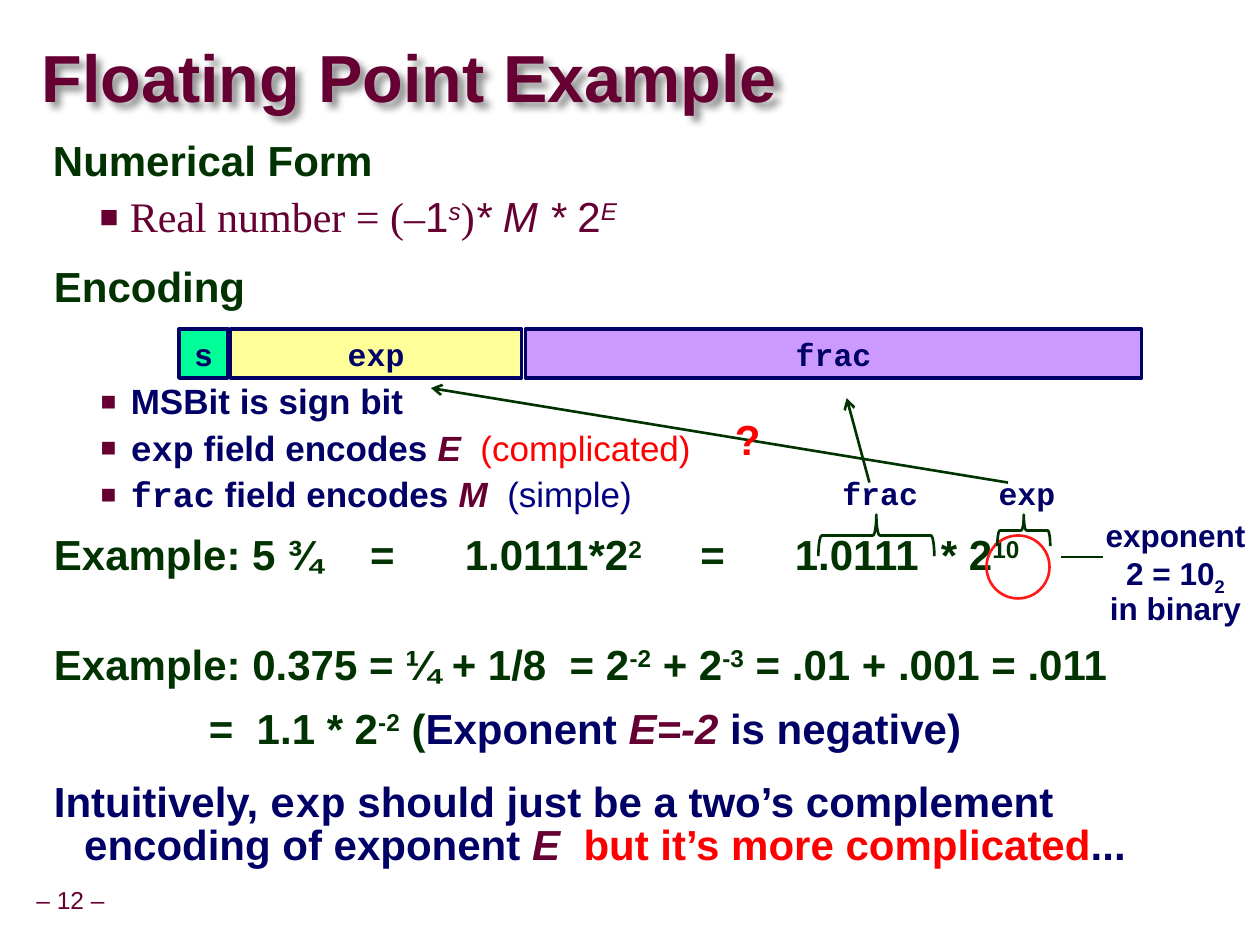
"""Build the floating point example slide with its field diagram and worked examples."""
from dataclasses import dataclass
from typing import NamedTuple

from lxml.etree import SubElement
from pptx import Presentation
from pptx.dml.color import RGBColor
from pptx.enum.shapes import MSO_CONNECTOR, MSO_SHAPE
from pptx.enum.text import MSO_ANCHOR as Anchor, MSO_AUTO_SIZE, PP_ALIGN as Align
from pptx.oxml.ns import qn
from pptx.util import Inches, Pt

COLORS = {"green": "003300", "plum": "660033", "navy": "000066", "blue": "000080",
          "red": "FF0000", "ring": "FF1A1A", "mint": "00FF99", "yellow": "FFFF99",
          "violet": "CC99FF", "shadow": "000000"}
MONO, SERIF = "Courier New", "Times New Roman"


class Box(NamedTuple):
    left: float
    top: float
    width: float
    height: float


@dataclass
class Run:
    text: str
    color: str = "navy"
    size: float = 24
    name: str = "Arial"
    bold: bool = True
    italic: bool = False
    baseline: int = 0


@dataclass
class Paragraph:
    runs: list[Run]
    before: float = 0
    spacing: float = 0.9
    align: Align = Align.LEFT
    margin: float = 0
    hanging: float = 0
    bullet: bool = False


class Field(NamedTuple):
    label: str
    left: float
    width: float
    color: str


class Term(NamedTuple):
    left: float
    width: float
    text: str
    power: str = ""


def rgb(name: str) -> RGBColor:
    return RGBColor.from_string(COLORS[name])


def child(parent, tag: str, **attributes):
    return SubElement(parent, qn(tag), {key: str(value) for key, value in attributes.items()})


def add_color(parent, name: str):
    return child(parent, "a:srgbClr", val=COLORS[name])


def format_paragraph(paragraph, content: Paragraph) -> None:
    values = {"alignment": content.align, "line_spacing": content.spacing,
              "space_before": Pt(content.before), "space_after": Pt(0)}
    for key, value in values.items():
        setattr(paragraph, key, value)
    properties = paragraph._p.get_or_add_pPr()
    properties.set("marL", str(Inches(content.margin)))
    properties.set("indent", str(-Inches(content.hanging)))
    if content.bullet:
        add_color(child(properties, "a:buClr"), "plum")
        child(properties, "a:buSzPct", val=75000)
        child(properties, "a:buFont", typeface="Arial")
        child(properties, "a:buChar", char="■")
    else:
        child(properties, "a:buNone")


def write(shape, paragraphs: list[Paragraph], anchor=Anchor.TOP, wrap=True, inset=(0.1, 0.05)) -> None:
    frame = shape.text_frame
    across, down = (Inches(value) for value in inset)
    values = {"auto_size": MSO_AUTO_SIZE.NONE, "word_wrap": wrap, "vertical_anchor": anchor,
              "margin_left": across, "margin_right": across,
              "margin_top": down, "margin_bottom": down}
    for key, value in values.items():
        setattr(frame, key, value)
    for index, content in enumerate(paragraphs):
        paragraph = frame.add_paragraph() if index else frame.paragraphs[0]
        format_paragraph(paragraph, content)
        for item in content.runs:
            run = paragraph.add_run()
            run.text = item.text
            fonts = {"name": item.name, "size": Pt(item.size), "bold": item.bold, "italic": item.italic}
            for key, value in fonts.items():
                setattr(run.font, key, value)
            run.font.color.rgb = rgb(item.color)
            if item.baseline:
                run.font._element.set("baseline", str(item.baseline * 1000))


def place(shape, box: Box) -> None:
    for key, value in box._asdict().items():
        setattr(shape, key, Inches(value))


def add_text(slide, box: Box, paragraphs: list[Paragraph], **options) -> None:
    write(slide.shapes.add_textbox(*map(Inches, box)), paragraphs, **options)


def add_label(slide, box: Box, *lines: list[Run]) -> None:
    add_text(slide, box, [Paragraph(runs, align=Align.CENTER) for runs in lines], wrap=False)


def add_shape(slide, kind, box: Box, line: str, width: float = 1.5, fill: str = ""):
    shape = slide.shapes.add_shape(kind, *map(Inches, box))
    shape.shadow.inherit = False
    shape.line.color.rgb = rgb(line)
    shape.line.width = Pt(width)
    if fill:
        shape.fill.solid()
        shape.fill.fore_color.rgb = rgb(fill)
    else:
        shape.fill.background()
    return shape


def add_line(slide, start: tuple[float, float], end: tuple[float, float], arrow: bool = False) -> None:
    line = slide.shapes.add_connector(MSO_CONNECTOR.STRAIGHT, *map(Inches, start + end))
    line.line.color.rgb = rgb("green")
    line.line.width = Pt(1.5)
    if arrow:
        child(line.line._get_or_add_ln(), "a:tailEnd", type="arrow")
    child(line._element.spPr, "a:effectLst")


def heading(*runs: Run, **options) -> Paragraph:
    return Paragraph(list(runs), **{"before": 13, "spacing": 0.85, **options})


def bullet(*runs: Run, before: float = 5) -> Paragraph:
    return Paragraph(list(runs), before, margin=0.61, hanging=0.24, bullet=True)


def green(text: str, baseline: int = 0) -> Run:
    return Run(text, "green", baseline=baseline)


def formula(text: str, name: str = "Arial", italic: bool = False, baseline: int = 0) -> Run:
    return Run(text, "plum", 24, name, False, italic, baseline)


def encodes(field: str, symbol: str, remark: str, color: str) -> Paragraph:
    return bullet(Run(field, size=20, name=MONO), Run(" field encodes ", size=20),
                  Run(f"{symbol}  ", "plum", 20, italic=True), Run(remark, color, 20, bold=False))


def add_placeholders(slide) -> None:
    title, body = slide.shapes.title, slide.placeholders[1]
    place(title, Box(0.33, 0.33, 9.5, 0.63))
    write(title, [Paragraph([Run("Floating Point Example", "plum", 38)], spacing=0.87)],
          anchor=Anchor.MIDDLE, inset=(0, 0))
    effects = child(title._element.spPr, "a:effectLst")
    shadow = child(effects, "a:outerShdw", blurRad=Pt(4), dist=Pt(4), dir=2700000, algn="tl", rotWithShape=0)
    child(add_color(shadow, "shadow"), "a:alpha", val=43000)
    place(body, Box(0.32, 1.08, 9.09, 1.17))
    write(body, [heading(green("Numerical Form")),
                 bullet(formula("Real number = (–", SERIF), formula("1"), formula("s", italic=True, baseline=30),
                        formula(")", SERIF), formula("* M * ", italic=True), formula("2"),
                        formula("E", italic=True, baseline=30), before=6.5)])


def add_encoding(slide) -> None:
    for field in (Field("s", 1.42, 0.39, "mint"), Field("exp", 1.83, 2.31, "yellow"),
                  Field("frac", 4.17, 4.89, "violet")):
        cell = add_shape(slide, MSO_SHAPE.RECTANGLE, Box(field.left, 2.61, field.width, 0.39), "navy", 2, field.color)
        write(cell, [Paragraph([Run(field.label, size=18, name=MONO)], spacing=1.0, align=Align.CENTER)],
              anchor=Anchor.MIDDLE, wrap=False)
    add_text(slide, Box(0.33, 2.08, 9.33, 2.1), [
        heading(green("Encoding")), bullet(Run("MSBit is sign bit", size=20), before=42),
        encodes("exp", "E", "(complicated)", "red"), encodes("frac", "M", "(simple)", "blue")])
    for term in (Term(0.33, 2.4, "Example: 5 ¾"), Term(2.84, 0.4, "="), Term(3.59, 1.65, "1.0111*2", "2"),
                 Term(5.46, 0.4, "="), Term(6.21, 1.2, "1.0111"), Term(7.37, 0.9, "* 2", "10")):
        runs = [green(term.text)] + ([green(term.power, 30)] if term.power else [])
        add_text(slide, Box(term.left, 4.21, term.width, 0.5), [heading(*runs)])


def add_annotations(slide) -> None:
    add_shape(slide, MSO_SHAPE.OVAL, Box(7.83, 4.25, 0.5, 0.5), "ring")
    add_line(slide, (8.42, 4.42), (8.75, 4.42))
    add_label(slide, Box(8.66, 4.08, 1.34, 0.92), [Run("exponent", size=18)],
              [Run("2 = 10", size=18), Run("2", size=18, baseline=-25)], [Run("in binary", size=18)])
    for text, box, brace_box in (("frac", Box(6.58, 3.75, 0.81, 0.38), Box(6.79, 3.79, 0.33, 0.92)),
                                 ("exp", Box(7.82, 3.75, 0.66, 0.38), Box(8, 4, 0.25, 0.42))):
        add_shape(slide, MSO_SHAPE.LEFT_BRACE, brace_box, "green").rotation = 90
        add_label(slide, box, [Run(text, size=18, name=MONO)])
    for start, end in (((6.9, 3.83), (6.72, 3.16)), ((8, 3.83), (3.42, 3.08))):
        add_line(slide, start, end, arrow=True)
    add_label(slide, Box(5.73, 3.28, 0.41, 0.47), [Run("?", "red")])


def add_examples(slide) -> None:
    add_text(slide, Box(0.33, 5.08, 9.09, 0.92), [
        heading(green("Example: 0.375 = ¼ + 1/8  = 2"), green("-2", 30), green(" + 2"), green("-3", 30),
                green(" = .01 + .001 = .011")),
        heading(green("=  1.1 * 2"), green("-2", 30), green(" ("), Run("Exponent "),
                Run("E=-2", "plum", italic=True), Run(" is negative)"), margin=1.23, before=12)])
    add_text(slide, Box(0.33, 6.17, 9.09, 0.92), [
        heading(Run("Intuitively, "), Run("exp", name=MONO),
                Run(" should just be a two’s complement encoding of exponent "),
                Run("E  ", "plum", italic=True), Run("but it’s more complicated", "red"), Run("..."),
                margin=0.24, hanging=0.24)])


def main() -> None:
    presentation = Presentation()
    presentation.slide_width, presentation.slide_height = Inches(10), Inches(7.5)
    slide = presentation.slides.add_slide(presentation.slide_layouts[1])
    for draw in (add_placeholders, add_encoding, add_annotations, add_examples):
        draw(slide)
    add_text(slide, Box(0.23, 7, 0.66, 0.31),
             [Paragraph([Run("– 12 –", "plum", 14, bold=False)], align=Align.CENTER)],
             anchor=Anchor.MIDDLE, wrap=False, inset=(0.05, 0.05))
    presentation.save("out.pptx")


if __name__ == "__main__":
    main()
